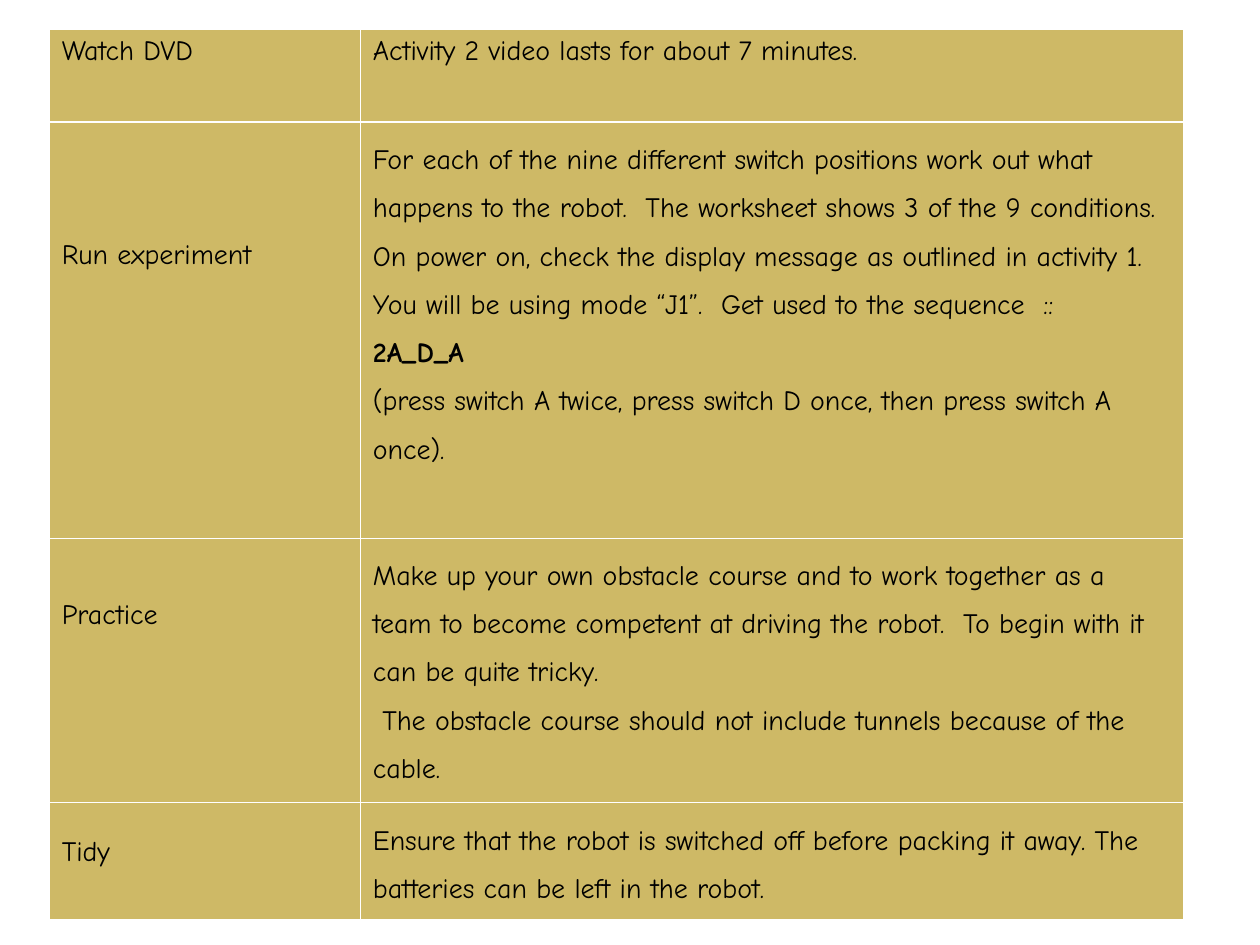
from lxml.etree import SubElement
from pptx import Presentation
from pptx.dml.color import RGBColor
from pptx.oxml.ns import qn
from pptx.util import Inches, Pt

SAND, WHITE, BLACK = "CEB966", "FFFFFF", "000000"
THIN, THICK = 0.45, 1.47
LABEL_LINE = 0.22  # height of one single-spaced line, in inches


def write(paragraph, text, size=16, bold=False, color=BLACK, spacing=None):
    run = paragraph.add_run()
    run.text = text
    run.font.name = "Comic Neue"
    run.font.size = Pt(size)
    run.font.bold = bold
    run.font.color.rgb = RGBColor.from_string(color)
    if spacing:
        paragraph.line_spacing = spacing


def add_border(cell, side, width, color=WHITE):
    """Draw one side of a cell: L, R, T or B, in that order."""
    line = SubElement(cell._tc.get_or_add_tcPr(), qn(f"a:ln{side}"), w=str(Pt(width)))
    fill = SubElement(line, qn("a:solidFill"))
    SubElement(fill, qn("a:srgbClr"), val=color)


# Each step: label, lines the label is lowered by, row height, line spacing,
# and paragraphs made of (text, bold) pieces
steps = [
    ("Watch DVD", 0, 0.74, None, [
        [("Activity 2 video lasts for about 7 minutes.", False)],
    ]),
    ("Run experiment", 4, 3.3, 1.5, [
        [("For each of the nine different switch positions work out what happens "
          "to the robot.  The worksheet shows 3 of the 9 conditions.", False)],
        [("On power on, check the display message as outlined in activity 1. "
          "You will be using mode “J1”.  Get used to the sequence  ::   ", False),
         ("2A_D_A", True)],
        [("(press switch A twice, press switch D once, then press switch A once).", False)],
    ]),
    ("Practice", 2, 2.1, 1.5, [
        [("Make up your own obstacle course and to work together as a team to become "
          "competent at driving the robot.  To begin with it can be quite tricky.", False)],
        [(" The obstacle course should not include tunnels because of the cable.", False)],
    ]),
    ("Tidy", 1, 0.93, 1.5, [
        [("Ensure that the robot is switched off before packing it away. "
          "The batteries can be left in the robot.", False)],
    ]),
]

prs = Presentation()
prs.slide_width, prs.slide_height = Inches(10), Inches(7.5)
slide = prs.slides.add_slide(prs.slide_layouts[6])

plan = slide.shapes.add_table(
    len(steps), 2, Inches(0.39), Inches(0.23), Inches(9), Inches(7.07)).table
plan.first_row = plan.horz_banding = False
plan.columns[0].width = Inches(2.47)
plan.columns[1].width = Inches(6.53)

for row, (label, lowered, height, spacing, paragraphs) in enumerate(steps):
    plan.rows[row].height = Inches(height)
    label_cell, detail_cell = plan.cell(row, 0), plan.cell(row, 1)

    for cell in (label_cell, detail_cell):
        cell.margin_left = cell.margin_right = Inches(0.1)
        cell.margin_top = cell.margin_bottom = Inches(0.05)
        add_border(cell, "L", THIN)
        add_border(cell, "R", THIN)
        add_border(cell, "T", THICK if row == 1 else THIN)
        add_border(cell, "B", THICK if row == 0 else THIN)
        cell.fill.solid()
        cell.fill.fore_color.rgb = RGBColor.from_string(SAND)

    label_cell.margin_top = Inches(0.05 + lowered * LABEL_LINE)
    write(label_cell.text_frame.paragraphs[0], label)

    detail = detail_cell.text_frame
    for index, pieces in enumerate(paragraphs):
        paragraph = detail.add_paragraph() if index else detail.paragraphs[0]
        for text, bold in pieces:
            write(paragraph, text, bold=bold, spacing=spacing)

prs.save("out.pptx")
